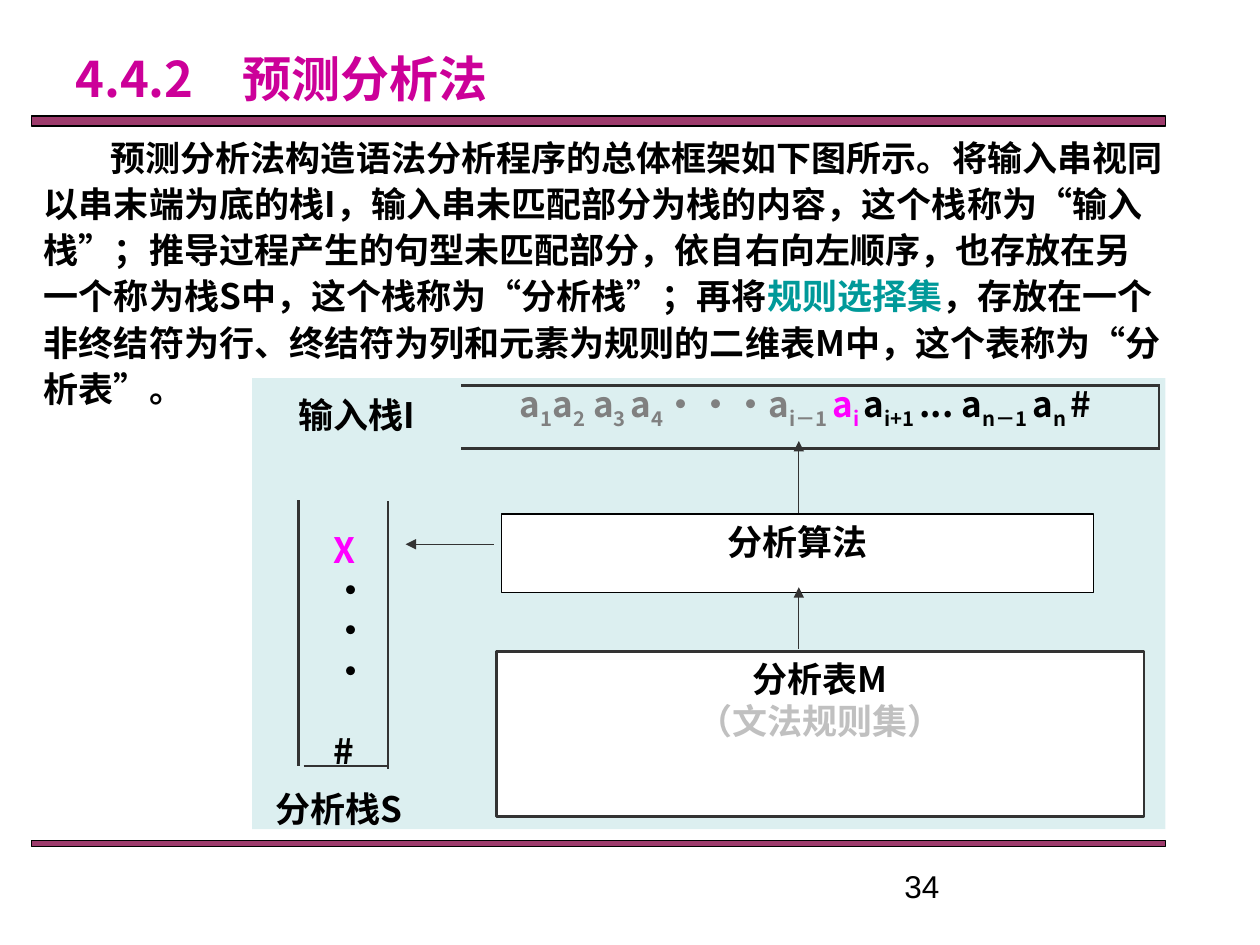
"""Build the slide on the framework of predictive parsing."""
import pptx
import pptx.util
import pptx.dml.color
import pptx.enum.shapes
import pptx.enum.text
import pptx.oxml.ns
import lxml.etree

Inches, Pt = pptx.util.Inches, pptx.util.Pt
RGB = pptx.dml.color.RGBColor
ALIGN = pptx.enum.text.PP_ALIGN
MID = pptx.enum.text.MSO_ANCHOR.MIDDLE
qn = pptx.oxml.ns.qn

BLACK, WHITE, DARK = RGB(0, 0, 0), RGB(255, 255, 255), RGB(0x33, 0x33, 0x33)
PLUM, AQUA = RGB(0x99, 0x33, 0x66), RGB(0xBB, 0xE0, 0xE3)
ROSE, PINK, TEAL = RGB(0xCC, 0, 0x99), RGB(255, 0, 255), RGB(0, 0x99, 0x99)
GRAY, PALE = RGB(0x80, 0x80, 0x80), RGB(0xC0, 0xC0, 0xC0)
CJK = "Noto Sans CJK SC"

TITLE = "4.4.2\u3000预测分析法"
BODY = [
    ("预测分析法构造语法分析程序的总体框架如下图所示。将输入串视同以串末端为底的栈I,"
     .replace(",", "，") +
     "输入串未匹配部分为栈的内容，这个栈称为“输入栈”；推导过程产生的句型未匹配部分，"
     "依自右向左顺序，也存放在另一个称为栈S中，这个栈称为“分析栈”；再将", BLACK),
    ("规则选择集", TEAL),
    ("，存放在一个非终结符为行、终结符为列和元素为规则的二维表M中，"
     "这个表称为“分析表”。", BLACK),
]
INPUT = [
    (GRAY, [("a", "1"), ("a", "2"), (" a", "3 "), ("a", "4"), ("···a", "i－1 ")]),
    (PINK, [("a", "i ")]),
    (BLACK, [("a", "i+1 "), ("... a", "n－1 "), ("a", "n "), ("#", "")]),
]
STACK = [("X", PINK), ("·", BLACK), ("·", BLACK), ("·", BLACK), ("#", BLACK)]
BARS = [(0.25, 0.92, 9, 0.08), (0.25, 6.67, 9, 0.05)]
BOXES = [
    ((3.98, 4.08, 4.7, 0.62), BLACK, 0.75, [("分析算法", BLACK)]),
    ((3.94, 5.17, 5.14, 1.31), DARK, 1.25,
     [("分析表M", BLACK), ("（文法规则集）", PALE)]),
]
EDGES = [
    (2.37, 3.97, 2.37, 6.08), (3.08, 3.98, 3.08, 6.1), (2.41, 6.08, 3.09, 6.08),
    (3.66, 3.06, 9.21, 3.06), (9.2, 3.07, 9.2, 3.56), (3.66, 3.56, 9.21, 3.56),
]
ARROWS = [(6.34, 4.07, 6.34, 3.5), (3.92, 4.32, 3.22, 4.32), (6.34, 5.15, 6.34, 4.66)]


def style(para, color=BLACK, size=20, face=CJK, bold=True, pitch=24, align=ALIGN.LEFT):
    para.alignment = align
    if pitch:
        para.line_spacing = Pt(pitch)
    font = para.font
    font.size, font.name, font.bold = Pt(size), face, bold
    font.color.rgb = color
    props = para._p.pPr.find(qn("a:defRPr"))
    lxml.etree.SubElement(props, qn("a:ea"), typeface=face)


def add_run(para, text, color, base=0):
    run = para.add_run()
    run.text = text
    run.font.color.rgb = color
    if base:
        run.font._element.set("baseline", str(base))


def add_text(slide, area, text="", **look):
    frame = slide.shapes.add_textbox(*map(Inches, area)).text_frame
    frame.word_wrap = True
    para = frame.paragraphs[0]
    para.text = text
    style(para, **look)
    return frame


def add_lines(frame, lines, **look):
    for num, (text, color) in enumerate(lines):
        para = frame.add_paragraph() if num else frame.paragraphs[0]
        para.text = text
        style(para, color, **look)


def add_rect(slide, area, fill, alpha=100, line=None, width=0.75):
    kind = pptx.enum.shapes.MSO_SHAPE.RECTANGLE
    rect = slide.shapes.add_shape(kind, *map(Inches, area))
    rect.shadow.inherit = False
    rect.fill.solid()
    rect.fill.fore_color.rgb = fill
    if alpha < 100:
        tint = rect._element.spPr.find(qn("a:solidFill"))[0]
        lxml.etree.SubElement(tint, qn("a:alpha"), val=str(alpha * 1000))
    if line is None:
        rect.line.fill.background()
    else:
        rect.line.color.rgb, rect.line.width = line, Pt(width)
    return rect


def add_line(slide, ends, width, arrow=False):
    kind = pptx.enum.shapes.MSO_CONNECTOR.STRAIGHT
    link = slide.shapes.add_connector(kind, *map(Inches, ends))
    link.line.color.rgb, link.line.width = DARK, Pt(width)
    if arrow:
        lxml.etree.SubElement(link.line._ln, qn("a:tailEnd"), type="triangle")
    lxml.etree.SubElement(link._element.spPr, qn("a:effectLst"))


def main():
    deck = pptx.Presentation()
    deck.slide_width, deck.slide_height = Inches(10), Inches(7.5)
    slide = deck.slides.add_slide(deck.slide_layouts[6])

    for area in BARS:
        add_rect(slide, area, PLUM, 96, BLACK)
    title = add_text(slide, (0.5, 0.33, 4.33, 0.58), TITLE, color=ROSE, size=28, pitch=None)
    title.vertical_anchor = MID
    add_rect(slide, (2, 3, 7.25, 3.58), AQUA, 50)

    para = add_text(slide, (0.25, 1, 9.08, 2.32), pitch=26.4).paragraphs[0]
    para._p.pPr.set("indent", str(Inches(0.53)))
    for text, color in BODY:
        add_run(para, text, color)

    for area, line, width, lines in BOXES:
        frame = add_rect(slide, area, WHITE, 100, line, width).text_frame
        frame.word_wrap = True
        frame.vertical_anchor = pptx.enum.text.MSO_ANCHOR.TOP
        add_lines(frame, lines, align=ALIGN.CENTER)

    for ends in EDGES:
        add_line(slide, ends, 1.25)
    for ends in ARROWS:
        add_line(slide, ends, 0.75, True)

    stack = slide.shapes.add_textbox(*map(Inches, (2.55, 4.16, 0.67, 1.97))).text_frame
    stack.word_wrap = True
    add_lines(stack, STACK, pitch=23)
    stack.paragraphs[-1].space_before = Pt(23)

    add_text(slide, (2, 3.07, 1.66, 0.58), "输入栈I", align=ALIGN.CENTER)
    add_text(slide, (2.09, 6.2, 1.66, 0.58), "分析栈S")
    para = add_text(slide, (3.46, 3.03, 5.87, 0.58), align=ALIGN.CENTER).paragraphs[0]
    for color, terms in INPUT:
        for text, sub in terms:
            add_run(para, text, color)
            if sub:
                add_run(para, sub, color, -25000)

    add_text(slide, (7.08, 6.83, 2.33, 0.27), "34", size=18, face="Arial",
             bold=False, pitch=None)
    deck.save("out.pptx")


if __name__ == "__main__":
    main()
